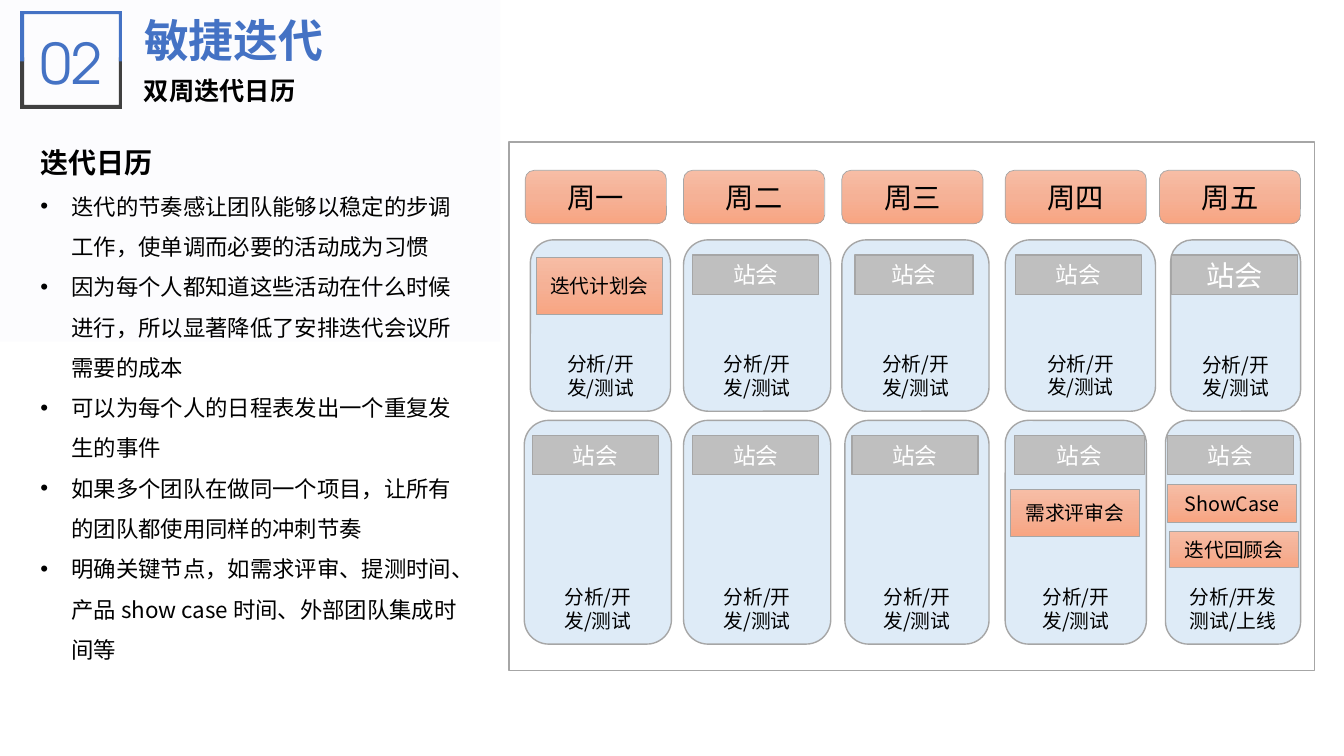
from copy import deepcopy
from dataclasses import dataclass

from lxml.etree import SubElement
from pptx import Presentation
from pptx.dml.color import RGBColor
from pptx.enum.shapes import MSO_SHAPE
from pptx.enum.text import MSO_ANCHOR, MSO_AUTO_SIZE, PP_ALIGN
from pptx.oxml.ns import qn
from pptx.shapes.autoshape import Shape
from pptx.util import Inches, Pt

FONT = "Noto Sans CJK SC"
BLUE, DARK, BLACK, WHITE = "4472C4", "404040", "000000", "FFFFFF"
PALE, GRAY, EDGE, BACK = "DEEBF7", "BFBFBF", "A6A6A6", "FCFCFE"
PEACH = ("F7BDA5", "F5B196", "F8A582")
ROUND, RECT = MSO_SHAPE.ROUNDED_RECTANGLE, MSO_SHAPE.RECTANGLE
COLS, ROWS = 133.3, 75
WORK, STAND = "分析/开发/测试", "站会"
HEAD_TOP, HEAD_WIDE, HEAD_HIGH = 16.9, 14, 5.3
STAND_HIGH, STAND_DROP = 3.9, 1.5
WORK_WIDE = 11


@dataclass
class Box:
    left: float
    top: float
    wide: float
    high: float


@dataclass
class Week:
    top: float
    high: float
    tasks: list[tuple[float, float, str]]
    stands: list[tuple[float, float, float]]


@dataclass
class Event:
    text: str
    box: Box


DAYS = [("周一", 52.1), ("周二", 67.8), ("周三", 83.5), ("周四", 99.7), ("周五", 115)]
WEEKS = [
    Week(23.8, 17,
         [(52.6, 13.9, WORK), (67.8, 14.6, WORK), (83.5, 14.6, WORK),
          (99.7, 14.9, WORK), (116.1, 12.9, WORK)],
         [(68.7, 12.5, 16.2), (84.8, 11.7, 16.2), (100.7, 12.5, 16.2),
          (116.2, 12.5, 20.2)]),
    Week(41.7, 22.2,
         [(52, 14.6, WORK), (67.8, 14.6, WORK), (83.8, 14.3, WORK),
          (99.7, 14, WORK), (115.6, 13.4, "分析/开发测试/上线")],
         [(52.8, 12.5, 16.2), (68.7, 12.5, 16.2), (84.5, 12.5, 16.2),
          (100.6, 12.9, 16.2), (115.8, 12.5, 16.2)]),
]
EVENTS = [
    Event("迭代计划会", Box(53.2, 25.5, 12.5, 5.7)),
    Event("需求评审会", Box(100.2, 48.6, 12.8, 4.6)),
    Event("ShowCase", Box(115.8, 48.1, 12.8, 3.7)),
    Event("迭代回顾会", Box(116, 52.7, 12.8, 3.6)),
]
POINTS = [
    "迭代的节奏感让团队能够以稳定的步调工作，使单调而必要的活动成为习惯",
    "因为每个人都知道这些活动在什么时候进行，所以显著降低了安排迭代会议所需要的成本",
    "可以为每个人的日程表发出一个重复发生的事件",
    "如果多个团队在做同一个项目，让所有的团队都使用同样的冲刺节奏",
    "明确关键节点，如需求评审、提测时间、产品 show case 时间、外部团队集成时间等",
]


def grid(cells: float) -> int:
    return Inches(cells / 10)


def hue(code: str) -> RGBColor:
    return RGBColor.from_string(code)


def place(shape: Shape, box: Box) -> None:
    shape.left, shape.top = grid(box.left), grid(box.top)
    shape.width, shape.height = grid(box.wide), grid(box.high)


def write(par, text: str, size: float, color: str = BLACK,
          bold: bool = False, face: str = FONT) -> None:
    run = par.add_run()
    run.text = text
    font = run.font
    font.size, font.bold, font.name = Pt(size), bold, face
    font.color.rgb = hue(color)
    SubElement(font._element, qn("a:ea")).set("typeface", face)


def blend(shape: Shape) -> None:
    fill = shape.fill
    fill.gradient()
    fill.gradient_angle = 270
    stops = shape.element.spPr.find(".//" + qn("a:gsLst"))
    stops.append(deepcopy(stops[0]))
    for rank, (stop, code) in enumerate(zip(fill.gradient_stops, PEACH)):
        stop.position = rank / 2
        stop.color.rgb = hue(code)


def draw(shapes, kind: MSO_SHAPE, box: Box, fill: str | tuple | None,
         line: float = 0) -> Shape:
    shape = shapes.add_shape(kind, *map(grid, (box.left, box.top, box.wide, box.high)))
    shape.shadow.inherit = False
    if fill is None:
        shape.fill.background()
    elif fill == PEACH:
        blend(shape)
    else:
        shape.fill.solid()
        shape.fill.fore_color.rgb = hue(fill)
    if line:
        shape.line.width = Pt(line)
        shape.line.color.rgb = hue(EDGE)
    else:
        shape.line.fill.background()
    return shape


def label(shape: Shape, text: str, size: float, color: str = BLACK,
          seat: MSO_ANCHOR = MSO_ANCHOR.MIDDLE) -> None:
    frame = shape.text_frame
    frame.word_wrap, frame.vertical_anchor = True, seat
    par = frame.paragraphs[0]
    par.alignment = PP_ALIGN.CENTER
    write(par, text, size, color)


def bracket(shapes, end: float, inner: float, edge: float, color: str) -> None:
    spots = [(2, end), (2.4, end), (2.4, inner), (11.8, inner),
             (11.8, end), (12.1, end), (12.1, edge), (2, edge)]
    first, *rest = [(grid(x), grid(y)) for x, y in spots]
    path = shapes.build_freeform(*first, scale=1.0)
    path.add_line_segments(rest, close=True)
    shape = path.convert_to_shape()
    shape.shadow.inherit = False
    shape.fill.solid()
    shape.fill.fore_color.rgb = hue(color)
    shape.line.fill.background()


def note(shapes, box: Box):
    shape = shapes.add_textbox(0, 0, 0, 0)
    place(shape, box)
    shape.text_frame.word_wrap = True
    return shape.text_frame.paragraphs[0]


def header(slide) -> None:
    shapes, title = slide.shapes, slide.shapes.title
    back = draw(shapes, RECT, Box(0, 0, 49.6, 33.9), BACK)
    title.element.getparent().insert(2, back.element)
    bracket(shapes, 5.7, 10.4, 10.8, DARK)
    bracket(shapes, 6.1, 1.4, 1.1, BLUE)
    par = note(shapes, Box(2, 2.3, 10.1, 7.7))
    par.alignment = PP_ALIGN.CENTER
    write(par, "02", 40, BLUE, face="TeX Gyre Adventor")
    place(title, Box(13.3, 0.8, 20, 6.4))
    frame = title.text_frame
    frame.word_wrap, frame.vertical_anchor = False, MSO_ANCHOR.TOP
    frame.auto_size = MSO_AUTO_SIZE.NONE
    frame.paragraphs[0].alignment = PP_ALIGN.LEFT
    write(frame.paragraphs[0], "敏捷迭代", 32, BLUE, True)
    par = note(shapes, Box(13.3, 6.6, 77.7, 4.2))
    par.line_spacing = 1.14
    write(par, "双周迭代日历", 18, bold=True)


def points(body) -> None:
    place(body, Box(3, 12.3, 44.4, 54.1))
    frame = body.text_frame
    frame.auto_size = MSO_AUTO_SIZE.NONE
    for rank, text in enumerate(["迭代日历", *POINTS]):
        par = frame.add_paragraph() if rank else frame.paragraphs[0]
        props = par._p.get_or_add_pPr()
        inset = grid(3.1) if rank else 0
        props.set("marL", str(inset))
        props.set("indent", str(-inset))
        if rank:
            SubElement(props, qn("a:buFont")).set("typeface", "Arial")
            SubElement(props, qn("a:buChar")).set("char", "•")
        else:
            SubElement(props, qn("a:buNone"))
        par.line_spacing, par.space_before = 1.5, Pt(0)
        write(par, text, 16 if rank else 20, bold=not rank)


def board(shapes) -> None:
    draw(shapes, RECT, Box(50.5, 14.1, 79.9, 52.4), None, 1)
    for name, left in DAYS:
        head = Box(left, HEAD_TOP, HEAD_WIDE, HEAD_HIGH)
        label(draw(shapes, ROUND, head, PEACH, 0.5), name, 20.2)
    for week in WEEKS:
        for left, wide, text in week.tasks:
            cell = draw(shapes, ROUND, Box(left, week.top, wide, week.high), PALE, 1)
            frame = cell.text_frame
            frame.margin_left = frame.margin_right = grid((wide - WORK_WIDE) / 2)
            label(cell, text, 14.1, seat=MSO_ANCHOR.BOTTOM)
        for left, wide, size in week.stands:
            spot = Box(left, week.top + STAND_DROP, wide, STAND_HIGH)
            label(draw(shapes, RECT, spot, GRAY, 1), STAND, size, WHITE)
    for event in EVENTS:
        label(draw(shapes, RECT, event.box, PEACH, 0.5), event.text, 14.1)


def main() -> None:
    deck = Presentation()
    deck.slide_width, deck.slide_height = grid(COLS), grid(ROWS)
    slide = deck.slides.add_slide(deck.slide_layouts[1])
    header(slide)
    points(slide.placeholders[1])
    board(slide.shapes)
    deck.save("out.pptx")


if __name__ == "__main__":
    main()
